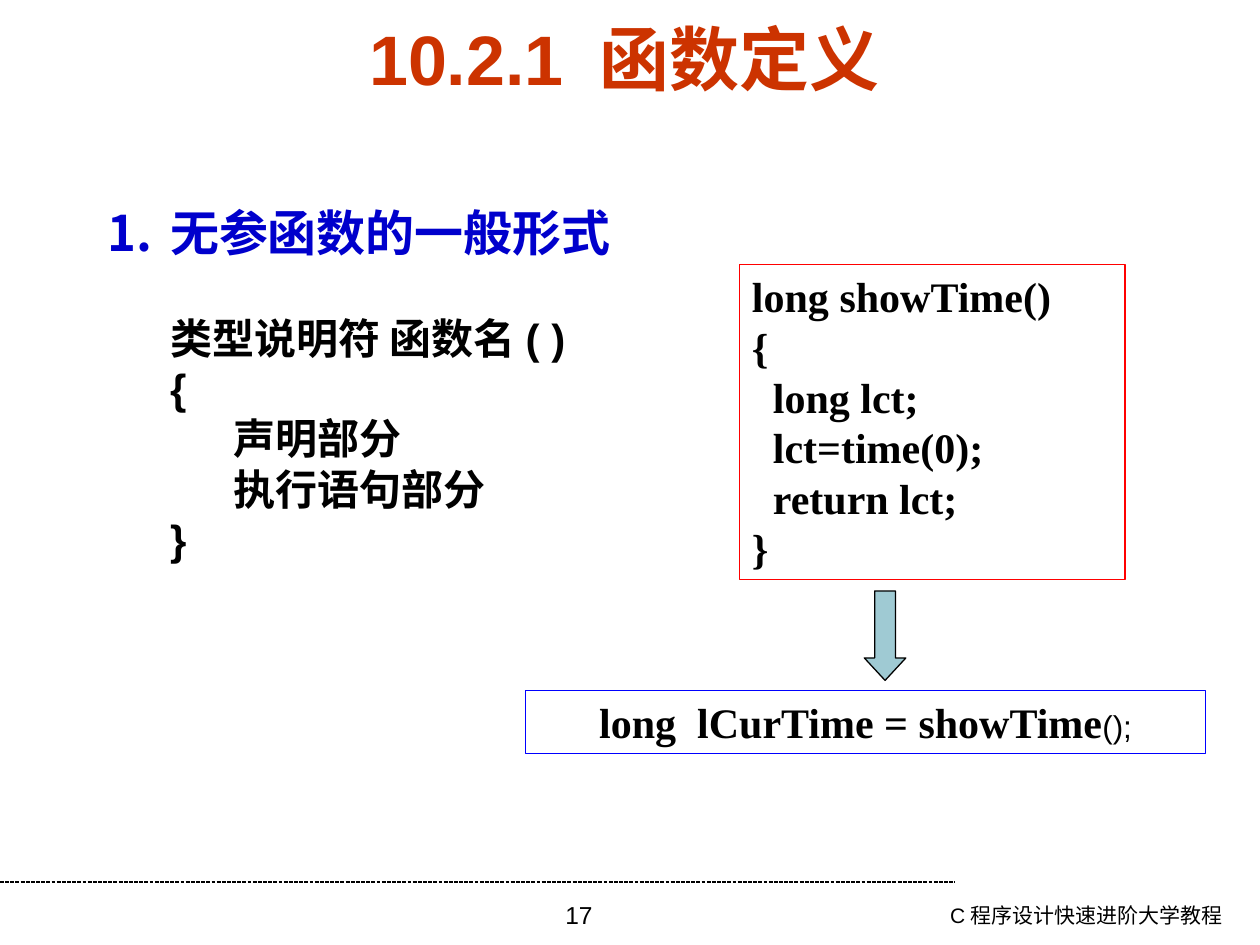
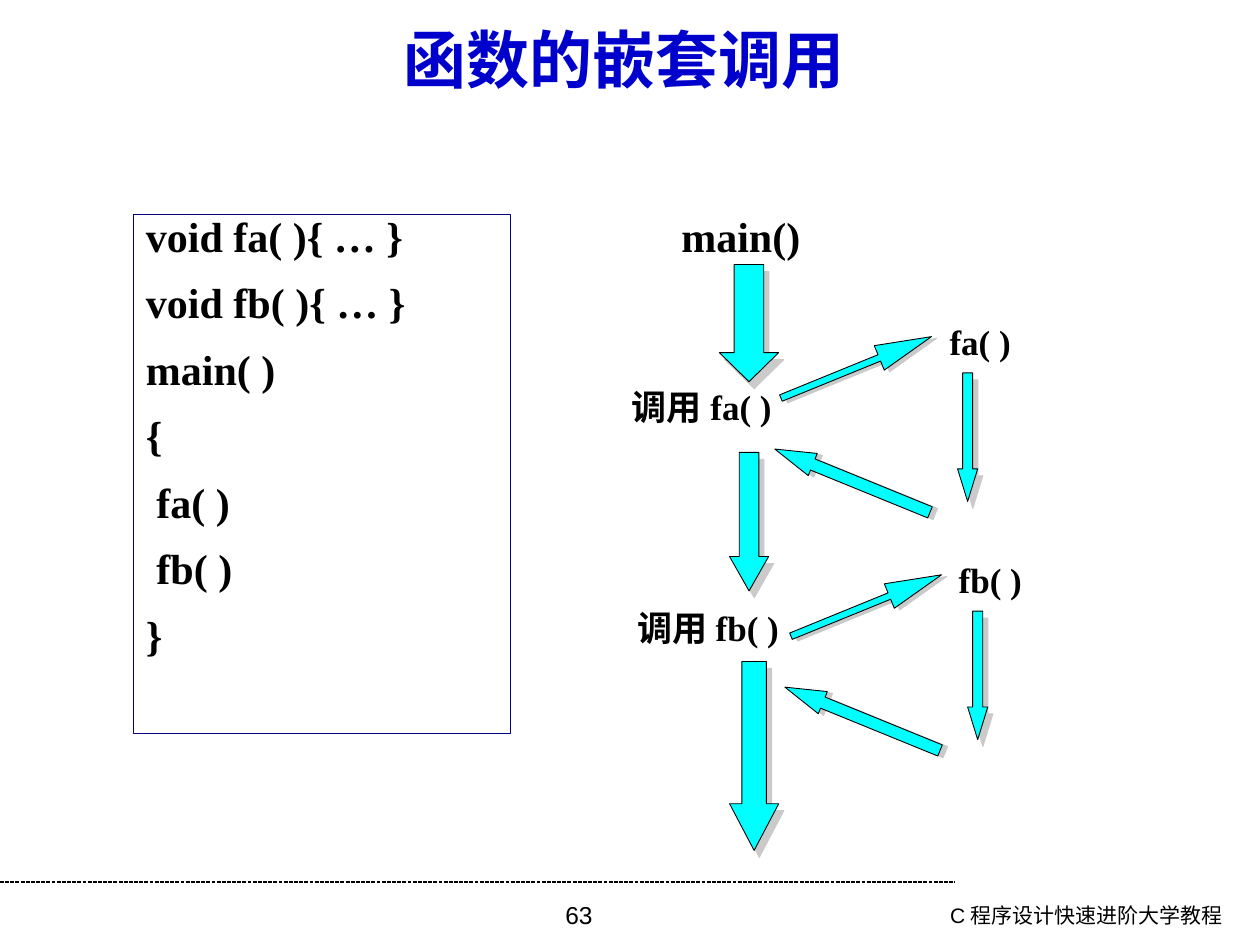
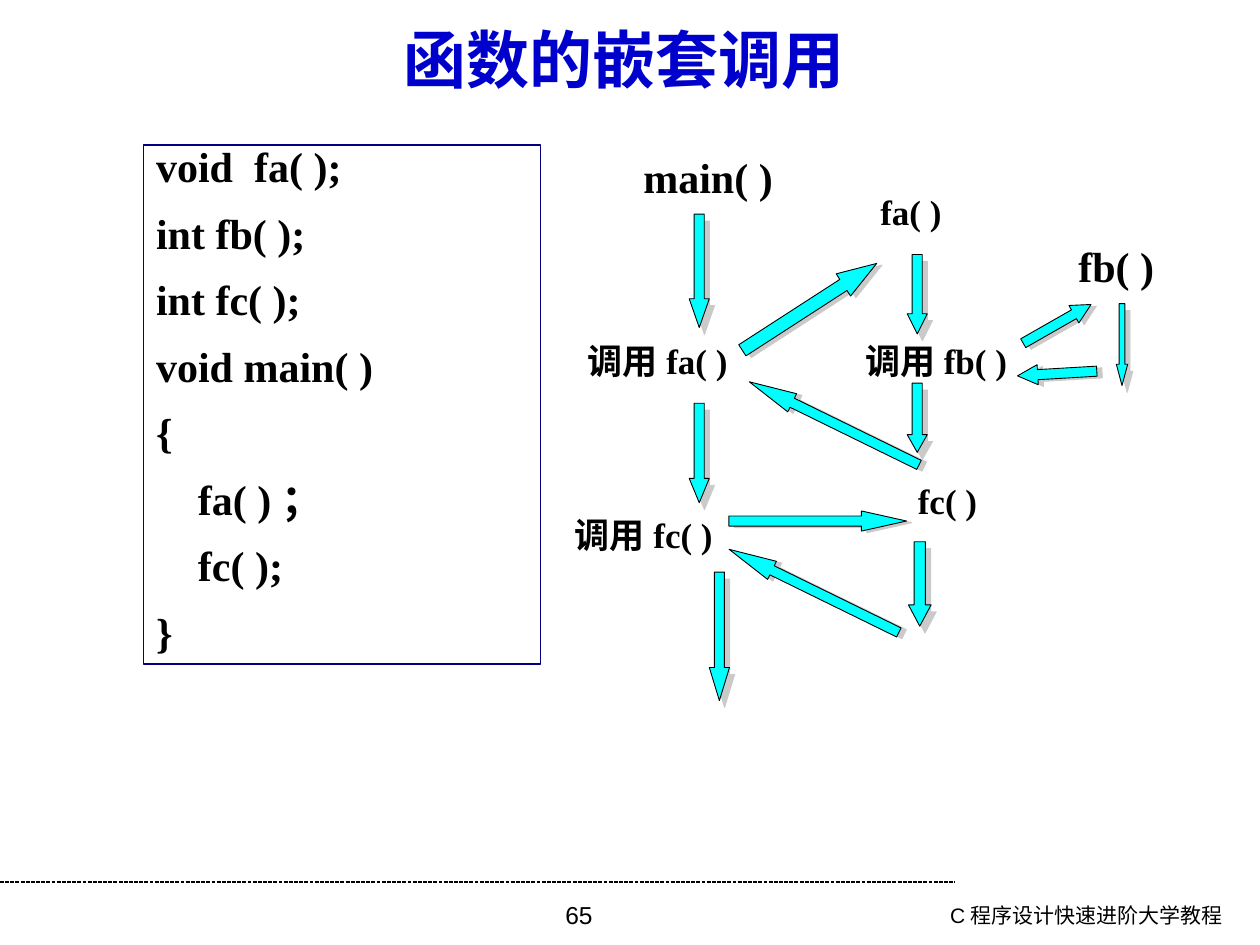
from lxml import etree
from pptx import Presentation
from pptx.dml.color import RGBColor
from pptx.enum.dml import MSO_LINE
from pptx.enum.shapes import MSO_CONNECTOR, MSO_SHAPE
from pptx.enum.text import MSO_ANCHOR, MSO_AUTO_SIZE, PP_ALIGN
from pptx.oxml.ns import qn
from pptx.util import Inches, Pt

BLACK = RGBColor(0x00, 0x00, 0x00)
BLUE = RGBColor(0x00, 0x00, 0xCC)
RUST = RGBColor(0xCC, 0x33, 0x00)
RED = RGBColor(0xFF, 0x00, 0x00)
BRIGHT = RGBColor(0x00, 0x00, 0xFF)
NAVY = RGBColor(0x00, 0x00, 0x80)
CYAN = RGBColor(0x00, 0xFF, 0xFF)
TEAL = RGBColor(0x9F, 0xCA, 0xD3)
SHADE = "CACACA"
SANS, SERIF = "Arial", "Times New Roman"
CENTER, LEFT, RIGHT = PP_ALIGN.CENTER, PP_ALIGN.LEFT, PP_ALIGN.RIGHT
MIDDLE, TOP = MSO_ANCHOR.MIDDLE, MSO_ANCHOR.TOP
FIXED = MSO_AUTO_SIZE.NONE
DOWN = MSO_SHAPE.DOWN_ARROW


def write(para, text, size, font=SERIF, color=BLACK, bold=True):
    run = para.add_run()
    run.text = text
    run.font.size = Pt(size)
    run.font.name = font
    run.font.bold = bold
    run.font.color.rgb = color


def arrow(slide, box, head, shaft=0.5, turn=0, fill=CYAN, edge=0.5, shade=True):
    """Draw a down arrow, turned by degrees, with an optional hard shadow."""
    shape = slide.shapes.add_shape(DOWN, *map(Inches, box))
    shape.adjustments[0] = shaft
    shape.adjustments[1] = head
    shape.rotation = turn
    shape.fill.solid()
    shape.fill.fore_color.rgb = fill
    shape.line.color.rgb = BLACK
    shape.line.width = Pt(edge)
    shape.shadow.inherit = False
    if shade:
        dist, angle = (3.2, 18) if turn else (5, 53)
        effects = shape.element.spPr.find(qn("a:effectLst"))
        outer = etree.SubElement(effects, qn("a:outerShdw"), blurRad="0",
                                 dist=str(Pt(dist)), dir=str(angle * 60000),
                                 algn="ctr", rotWithShape="0")
        etree.SubElement(outer, qn("a:srgbClr"), val=SHADE)


prs = Presentation()
prs.slide_width, prs.slide_height = Inches(10), Inches(7.5)

# Titles, rule and footers
pages = [
    (1, "10.2.1 函数定义", 40, RUST, "17"),
    (5, "函数的嵌套调用", 36, BLUE, "63"),
    (5, "函数的嵌套调用", 36, BLUE, "65"),
]
for layout, name, size, color, number in pages:
    slide = prs.slides.add_slide(prs.slide_layouts[layout])
    title = slide.shapes.title
    title.left, title.top, title.width, title.height = map(Inches, (0.43, 0.21, 9.05, 0.5))
    frame = title.text_frame
    frame.auto_size = FIXED
    frame.vertical_anchor = MIDDLE
    frame.paragraphs[0].alignment = CENTER
    write(frame.paragraphs[0], name, size, SANS, color)

    rule = slide.shapes.add_connector(MSO_CONNECTOR.STRAIGHT, 0, Inches(7), Inches(7.58), Inches(7))
    rule.line.color.rgb = BLACK
    rule.line.width = Pt(0.75)
    rule.line.dash_style = MSO_LINE.SQUARE_DOT
    etree.SubElement(rule.element.spPr, qn("a:effectLst"))

    for box, text, size, align in [
        ((6.57, 7.11, 3.23, 0.39), "C程序设计快速进阶大学教程", 12, RIGHT),
        ((3.43, 7.09, 2.33, 0.41), number, 14, CENTER),
    ]:
        frame = slide.shapes.add_textbox(*map(Inches, box)).text_frame
        frame.word_wrap = True
        frame.paragraphs[0].alignment = align
        write(frame.paragraphs[0], text, size, SANS, bold=False)

define, nest, chain = prs.slides

# Function form: numbered heading and its outline
body = define.placeholders[1]
body.left, body.top, body.width, body.height = map(Inches, (0.75, 1.56, 7.48, 2.95))
frame = body.text_frame
frame.auto_size = FIXED
form = [
    ("无参函数的一般形式", 28, BLUE, 0.5, 0),
    ("类型说明符 函数名( )", 24, BLACK, 0.5, 28.8),
    ("{", 24, BLACK, 0.5, 0),
    ("声明部分", 24, BLACK, 1, 0),
    ("执行语句部分", 24, BLACK, 1, 0),
    ("}", 24, BLACK, 0.5, 0),
]
for i, (text, size, color, margin, gap) in enumerate(form):
    para = frame.paragraphs[0] if i == 0 else frame.add_paragraph()
    props = para._p.get_or_add_pPr()
    props.set("marL", str(Inches(margin)))
    props.set("indent", str(0 if i else -Inches(0.5)))
    if i:
        etree.SubElement(props, qn("a:buNone"))
    else:
        etree.SubElement(props, qn("a:buFont"), typeface=SANS)
        etree.SubElement(props, qn("a:buAutoNum"), type="arabicPeriod")
    para.line_spacing = Pt(size * 1.2)
    para.space_before = Pt(gap)
    write(para, text, size, SANS, color)

# Framed code
codes = [
    (define, (5.87, 2.1, 3.06, 2.5), RED, 28.8, 0,
     ["long showTime()", "{", "  long lct;", "  lct=time(0);", "  return lct;", "}"]),
    (nest, (1.06, 1.7, 2.99, 4.12), NAVY, 23, 15,
     ["void fa( ){ … }", "void fb( ){ … }", "main( )", "{", " fa( )", " fb( )", "}"]),
    (chain, (1.14, 1.15, 3.15, 4.12), NAVY, 23, 15,
     ["void  fa( );", "int fb( );", "int fc( );", "void main( )", "{",
      "    fa( )；", "    fc( );", "}"]),
]
for slide, box, edge, pitch, gap, lines in codes:
    code = slide.shapes.add_textbox(*map(Inches, box))
    code.line.color.rgb = edge
    code.line.width = Pt(0.75)
    frame = code.text_frame
    frame.word_wrap = True
    for i, text in enumerate(lines):
        para = frame.add_paragraph() if i else frame.paragraphs[0]
        para.alignment = LEFT
        para.line_spacing = Pt(pitch)
        para.space_before = Pt(gap if i else 0)
        write(para, text, 24)

# Call of showTime
call = define.shapes.add_textbox(*map(Inches, (4.17, 5.48, 5.4, 0.5)))
call.line.color.rgb = BRIGHT
call.line.width = Pt(0.75)
frame = call.text_frame
frame.word_wrap = True
frame.vertical_anchor = MIDDLE
para = frame.paragraphs[0]
para.alignment = CENTER
write(para, "long  lCurTime = showTime", 24)
write(para, "();", 18, SANS, bold=False)
arrow(define, (6.86, 4.69, 0.33, 0.71), 0.54, fill=TEAL, edge=0.75, shade=False)

# Labels of the call flows, placed by their centres
labels = [
    (nest, "main()", 5.88, 1.87, 24),
    (nest, "调用fa( )", 5.57, 3.23, 20),
    (nest, "fa( )", 7.78, 2.71, 20),
    (nest, "调用fb( )", 5.62, 4.98, 20),
    (nest, "fb( )", 7.86, 4.6, 20),
    (chain, "main( )", 5.62, 1.4, 24),
    (chain, "调用fa( )", 5.22, 2.86, 20),
    (chain, "fa( )", 7.23, 1.68, 20),
    (chain, "调用fb( )", 7.43, 2.86, 20),
    (chain, "fb( )", 8.86, 2.11, 24),
    (chain, "调用fc( )", 5.11, 4.24, 20),
    (chain, "fc( )", 7.52, 3.97, 20),
]
WIDE, HIGH = 1.6, 0.5
for slide, text, x, y, size in labels:
    box = (x - WIDE / 2, y - HIGH / 2, WIDE, HIGH)
    frame = slide.shapes.add_textbox(*map(Inches, box)).text_frame
    frame.word_wrap = True
    frame.vertical_anchor = MIDDLE
    frame.paragraphs[0].alignment = CENTER
    write(frame.paragraphs[0], text, size)

# Nested calls: main runs down, each call goes out and back
arrow(nest, (5.71, 2.1, 0.47, 0.93), 0.49)
arrow(nest, (5.79, 3.59, 0.31, 1.1), 0.88)
arrow(nest, (5.79, 5.25, 0.39, 1.5), 0.95)
for dx, dy in [(0, 0), (0.08, 1.89)]:
    arrow(nest, (6.69 + dx, 2.27 + dy, 0.21, 1.29), 2.13, shaft=0.26, turn=247.8)
    arrow(nest, (7.6 + dx, 2.96 + dy, 0.16, 1.02), 1.62)
    arrow(nest, (6.67 + dx, 3.15 + dy, 0.19, 1.33), 1.71, turn=112.2)

# Chained calls: box, head length, turn
steps = [
    ((5.47, 1.7, 0.16, 0.9), 1.43, 0),
    ((5.47, 3.2, 0.16, 0.79), 1.21, 0),
    ((5.63, 4.54, 0.16, 1.02), 1.64, 0),
    ((6.32, 1.8, 0.21, 1.27), 1.5, 237.1),
    ((7.2, 2.02, 0.16, 0.63), 1, 0),
    ((8.31, 2.26, 0.16, 0.62), 0.98, 240.3),
    ((8.86, 2.41, 0.09, 0.65), 1.87, 0),
    ((8.31, 2.65, 0.16, 0.63), 1, 86.6),
    ((6.54, 2.61, 0.16, 1.5), 2.37, 116.1),
    ((7.2, 3.04, 0.16, 0.55), 0.88, 0),
    ((6.41, 3.43, 0.16, 1.41), 2.24, 270),
    ((7.21, 4.3, 0.18, 0.67), 0.94, 0),
    ((6.38, 3.94, 0.16, 1.5), 2.37, 116.1),
]
for box, head, turn in steps:
    arrow(chain, box, head, turn=turn)

prs.save("out.pptx")
